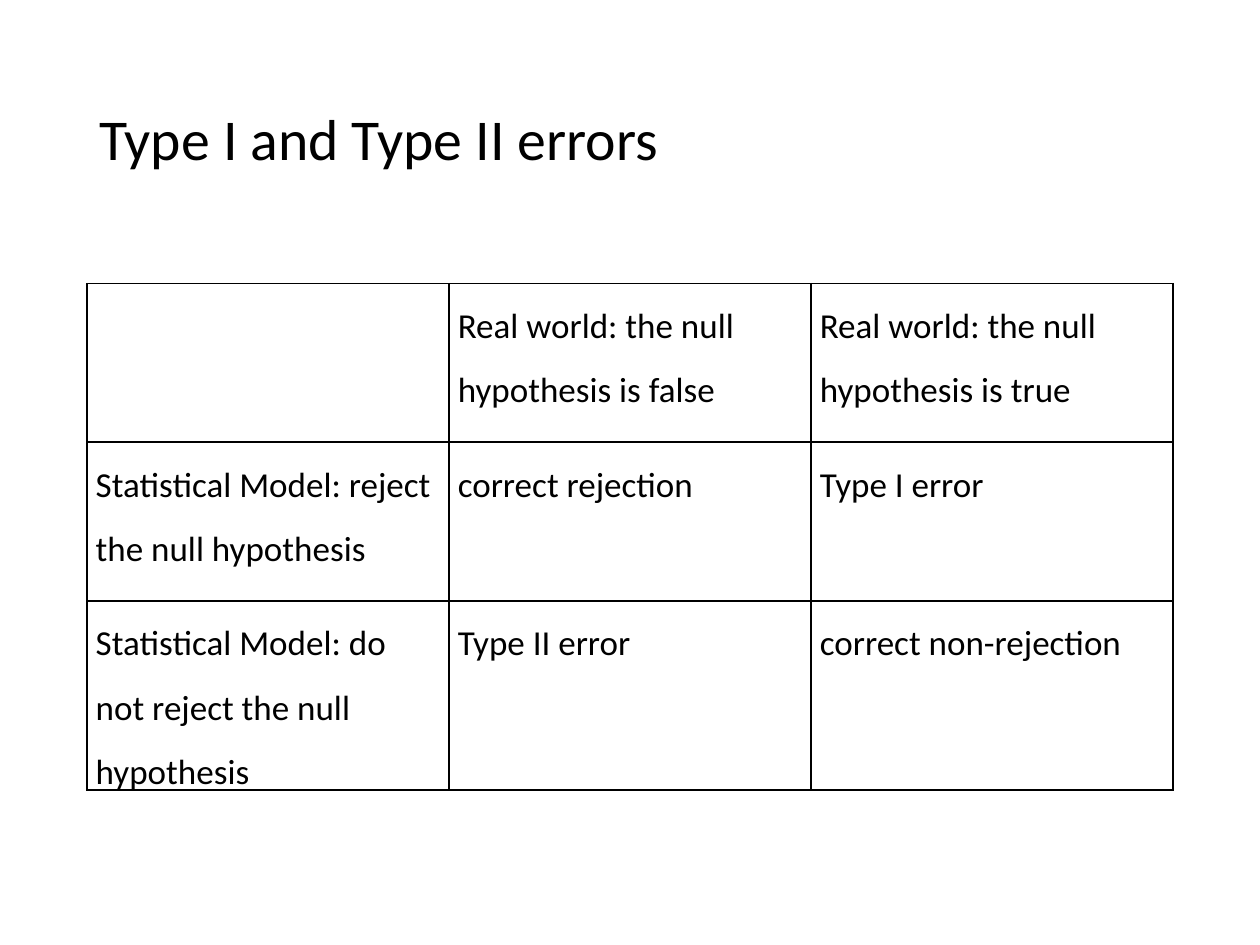
import lxml.etree
import pptx
import pptx.dml.color
import pptx.enum.text
import pptx.oxml.ns
import pptx.util
from pptx.util import Inches

BLACK = pptx.dml.color.RGBColor(0x00, 0x00, 0x00)
FONT = "Calibri"
TITLE = "Type I and Type II errors"
ERROR_TABLE = [
    ["", "Real world: the null hypothesis is false", "Real world: the null hypothesis is true"],
    ["Statistical Model: reject the null hypothesis", "correct rejection", "Type I error"],
    ["Statistical Model: do not reject the null hypothesis", "Type II error", "correct non-rejection"],
]


def write_text(frame, text, size, line_spacing):
    paragraph = frame.paragraphs[0]
    paragraph.line_spacing = line_spacing
    run = paragraph.add_run()
    run.text = text
    run.font.name = FONT
    run.font.size = pptx.util.Pt(size)
    run.font.color.rgb = BLACK


def draw_borders(cell):
    """Give the cell a thin black line on all four sides; call before setting its fill."""
    qn = pptx.oxml.ns.qn
    properties = cell._tc.get_or_add_tcPr()
    for side in ("a:lnL", "a:lnR", "a:lnT", "a:lnB"):
        line = lxml.etree.SubElement(properties, qn(side), w=str(pptx.util.Pt(1)))
        fill = lxml.etree.SubElement(line, qn("a:solidFill"))
        lxml.etree.SubElement(fill, qn("a:srgbClr"), val=str(BLACK))


def add_title(slide, left, top, width, height):
    frame = slide.shapes.add_textbox(left, top, width, height).text_frame
    frame.word_wrap = True
    frame.vertical_anchor = pptx.enum.text.MSO_ANCHOR.MIDDLE
    write_text(frame, TITLE, 33, 0.9)


def add_error_table(slide, left, top, width, height):
    rows, columns = len(ERROR_TABLE), len(ERROR_TABLE[0])
    table = slide.shapes.add_table(rows, columns, left, top, width, height).table
    table.first_row = False
    table.horz_banding = False
    for row, texts in enumerate(ERROR_TABLE):
        for column, text in enumerate(texts):
            cell = table.cell(row, column)
            draw_borders(cell)
            cell.fill.background()
            cell.margin_left = cell.margin_right = Inches(0.07)
            cell.margin_top = cell.margin_bottom = 0
            if text:
                write_text(cell.text_frame, text, 20, 1.5)


def main():
    presentation = pptx.Presentation()
    presentation.slide_width = Inches(10)
    presentation.slide_height = Inches(7.5)
    slide = presentation.slides.add_slide(presentation.slide_layouts[6])
    left, width = Inches(0.69), Inches(8.62)
    add_title(slide, left, Inches(0.4), width, Inches(1.45))
    add_error_table(slide, left, Inches(2.25), width, Inches(3 * 1.26))
    presentation.save("out.pptx")


if __name__ == "__main__":
    main()
